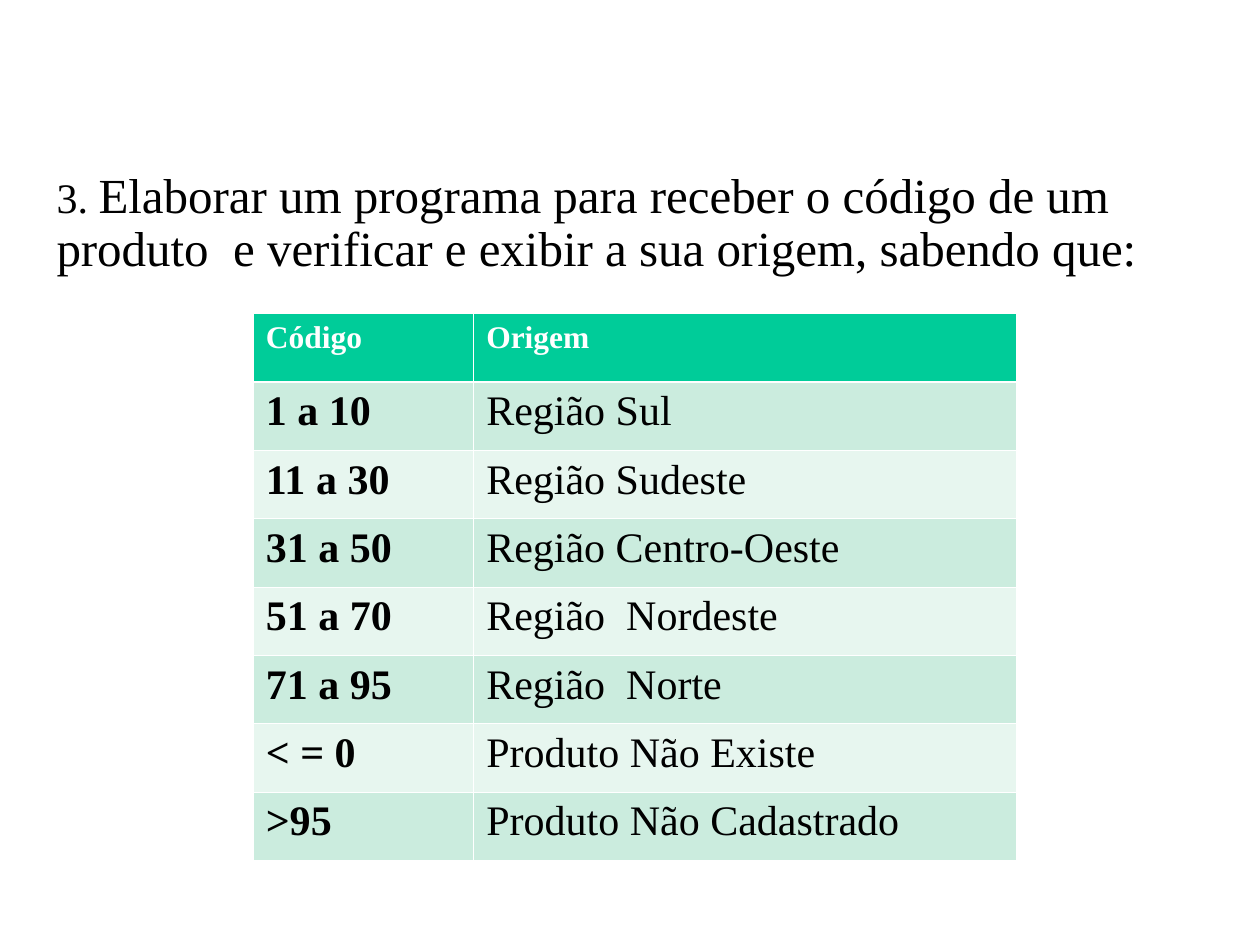
from pptx import Presentation
from pptx.dml.color import RGBColor
from pptx.oxml import parse_xml
from pptx.oxml.ns import nsdecls
from pptx.util import Inches, Pt

# Content
NUMBER = "3. "
QUESTION = ("Elaborar um programa para receber o código de um produto  e "
            "verificar e exibir a sua origem, sabendo que:")
ROWS = [
    ("Código", "Origem"),
    ("1 a 10", "Região Sul"),
    ("11 a 30", "Região Sudeste"),
    ("31 a 50", "Região Centro-Oeste"),
    ("51 a 70", "Região  Nordeste"),
    ("71 a 95", "Região  Norte"),
    ("< = 0", "Produto Não Existe"),
    (">95", "Produto Não Cadastrado"),
]

# Look and layout
FONT = "Times New Roman"
COLORS = {"text": "000000", "white": "FFFFFF", "header": "00CC99",
          "odd": "CBECDE", "even": "E7F6EF"}
COL_W = (1.75, 4.31)
TABLE_X, TABLE_Y, TABLE_H = 2.01, 2.49, 4.34
THIN, THICK = 0.45, 1.47


def style(r, size, color="text", bold=False):
    r.font.name, r.font.size, r.font.bold = FONT, Pt(size), bold
    r.font.color.rgb = RGBColor.from_string(COLORS[color])


def set_borders(cell, top, bottom):
    widths = {"lnL": THIN, "lnR": THIN, "lnT": top, "lnB": bottom}
    tcPr = cell._tc.get_or_add_tcPr()
    for i, (tag, width) in enumerate(widths.items()):
        tcPr.insert(i, parse_xml(
            f'<a:{tag} {nsdecls("a")} w="{Pt(width)}"><a:solidFill>'
            f'<a:srgbClr val="{COLORS["white"]}"/></a:solidFill></a:{tag}>'))


prs = Presentation()
prs.slide_width, prs.slide_height = Inches(10), Inches(7.5)
s = prs.slides.add_slide(prs.slide_layouts[6])

# Question
tf = s.shapes.add_textbox(Inches(0.35), Inches(1.31),
                          Inches(9.29), Inches(0.99)).text_frame
tf.word_wrap = True
p = tf.paragraphs[0]
p.line_spacing, p.space_before = 0.9, Pt(7)
for text, size in ((NUMBER, 24), (QUESTION, 28)):
    r = p.add_run()
    r.text = text
    style(r, size)

# Table of codes and origins
table = s.shapes.add_table(len(ROWS), len(COL_W), Inches(TABLE_X), Inches(TABLE_Y),
                           Inches(sum(COL_W)), Inches(TABLE_H)).table
for col, width in zip(table.columns, COL_W):
    col.width = Inches(width)
for i, row in enumerate(ROWS):
    header = i == 0
    fill = "header" if header else "odd" if i % 2 else "even"
    for j, text in enumerate(row):
        cell = table.cell(i, j)
        cell.fill.solid()
        cell.fill.fore_color.rgb = RGBColor.from_string(COLORS[fill])
        set_borders(cell, THICK if i == 1 else THIN, THICK if header else THIN)
        p = cell.text_frame.paragraphs[0]
        p.text = text
        style(p.runs[0], 18 if header else 24,
              "white" if header else "text", header or j == 0)

prs.save("out.pptx")
